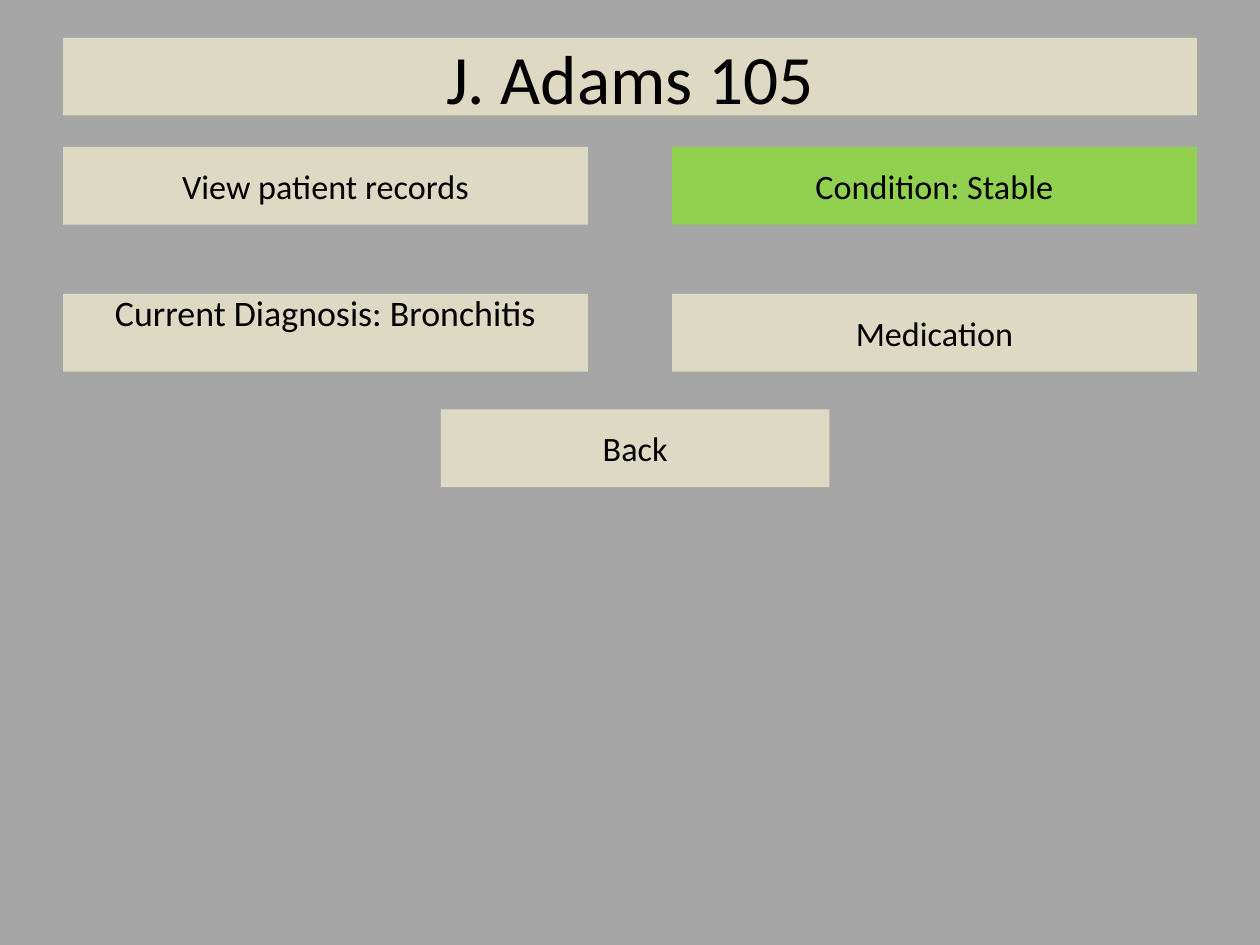
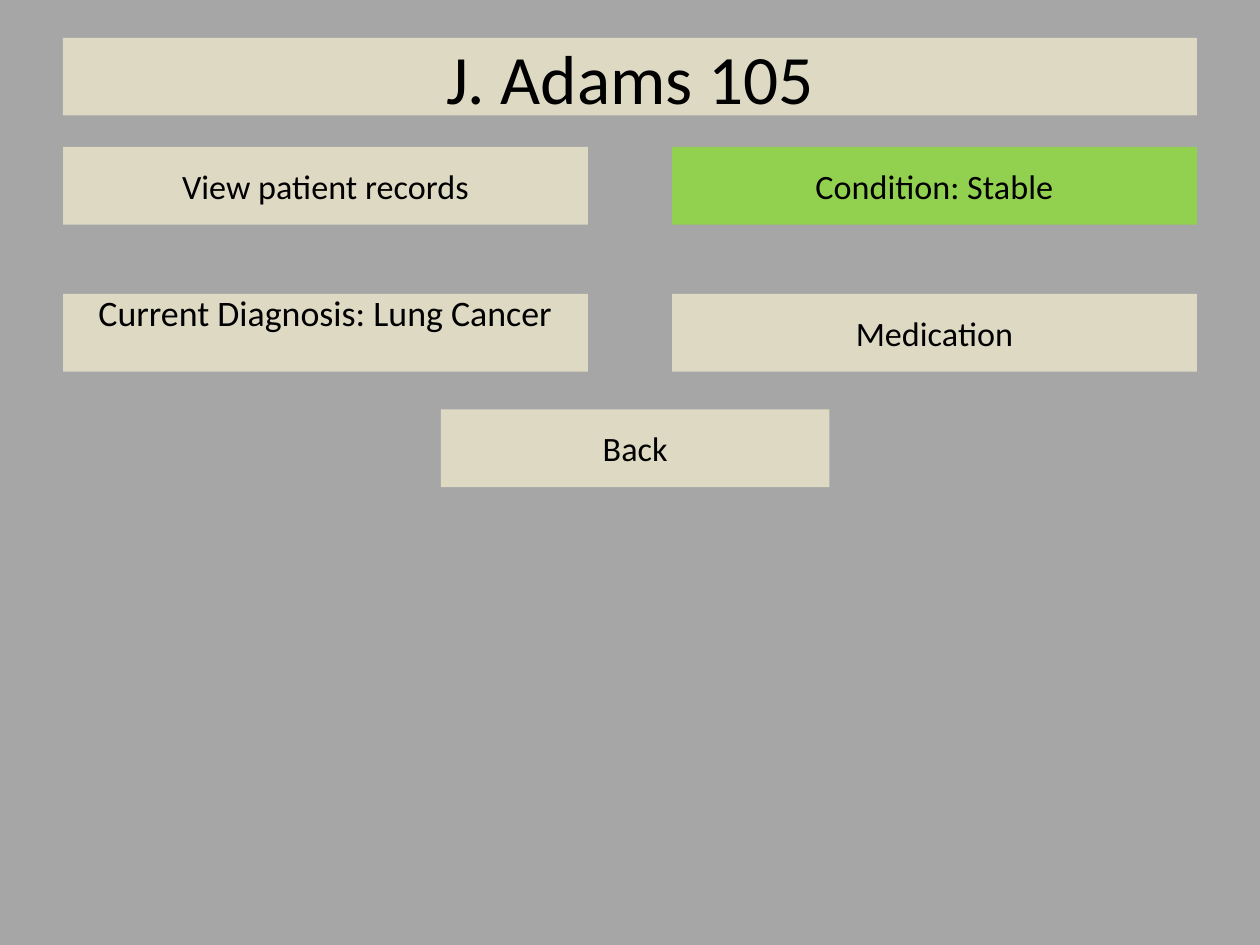
import dataclasses

import pptx
import pptx.dml.color
import pptx.enum.shapes
import pptx.enum.text
import pptx.util


@dataclasses.dataclass(frozen=True)
class Theme:
    font: str = "Calibri"
    background: str = "A6A6A6"
    panel: str = "DDD9C3"
    stable: str = "92D050"
    ink: str = "000000"
    title_size: float = 39.6
    diagnosis_size: float = 20.5
    button_size: float = 19.5


COLUMNS, ROWS = 120, 90
MARGIN = 6
GUTTER = 8
FULL_WIDTH = COLUMNS - 2 * MARGIN
HALF_WIDTH = (FULL_WIDTH - GUTTER) / 2
LEFT, RIGHT = MARGIN, MARGIN + HALF_WIDTH + GUTTER
BAR_HEIGHT = 7.4
TITLE_ROW, FIRST_ROW, SECOND_ROW, BACK_ROW = 3.6, 14, 28, 39
BACK_COLUMN, BACK_WIDTH = 42, 37


def rgb(code):
    return pptx.dml.color.RGBColor.from_string(code)


class PatientDeck:
    def __init__(self, theme):
        self.theme = theme
        self.presentation = pptx.Presentation()
        self.presentation.slide_width = pptx.util.Inches(10)
        self.presentation.slide_height = pptx.util.Inches(7.5)
        self.slide = None

    def new_slide(self):
        blank = self.presentation.slide_layouts[6]
        self.slide = self.presentation.slides.add_slide(blank)
        backdrop = self.slide.background.fill
        backdrop.solid()
        backdrop.fore_color.rgb = rgb(self.theme.background)

    def bar(self, label, column, row, width, size, fill):
        """Draw a labelled bar, placed in grid units, and return its text frame."""
        across = self.presentation.slide_width / COLUMNS
        down = self.presentation.slide_height / ROWS
        panel = self.slide.shapes.add_shape(
            pptx.enum.shapes.MSO_SHAPE.RECTANGLE,
            round(column * across), round(row * down),
            round(width * across), round(BAR_HEIGHT * down))
        panel.shadow.inherit = False
        panel.fill.solid()
        panel.fill.fore_color.rgb = rgb(fill)
        panel.line.fill.background()

        frame = panel.text_frame
        frame.word_wrap = True
        frame.vertical_anchor = pptx.enum.text.MSO_ANCHOR.MIDDLE
        paragraph = frame.paragraphs[0]
        paragraph.text = label
        paragraph.alignment = pptx.enum.text.PP_ALIGN.CENTER
        paragraph.font.name = self.theme.font
        paragraph.font.size = pptx.util.Pt(size)
        paragraph.font.color.rgb = rgb(self.theme.ink)
        return frame

    def title(self, patient):
        self.bar(patient, MARGIN, TITLE_ROW, FULL_WIDTH,
                 self.theme.title_size, self.theme.panel)

    def button(self, label, column, row, width=HALF_WIDTH, fill=None):
        self.bar(label, column, row, width,
                 self.theme.button_size, fill or self.theme.panel)

    def diagnosis(self, illness):
        """Show the diagnosis raised to the top edge of its bar."""
        frame = self.bar(f"Current Diagnosis: {illness}", LEFT, SECOND_ROW,
                         HALF_WIDTH, self.theme.diagnosis_size, self.theme.panel)
        frame.margin_top = 0
        frame.margin_bottom = pptx.util.Inches(0.33)

    def patient_screen(self, patient, illness):
        self.new_slide()
        self.title(patient)
        self.button("View patient records", LEFT, FIRST_ROW)
        self.diagnosis(illness)
        self.button("Condition: Stable", RIGHT, FIRST_ROW, fill=self.theme.stable)
        self.button("Medication", RIGHT, SECOND_ROW)
        self.button("Back", BACK_COLUMN, BACK_ROW, BACK_WIDTH)


def main():
    deck = PatientDeck(Theme())
    for illness in ("Bronchitis", "Lung Cancer"):
        deck.patient_screen("J. Adams 105", illness)
    deck.presentation.save("out.pptx")


if __name__ == "__main__":
    main()
